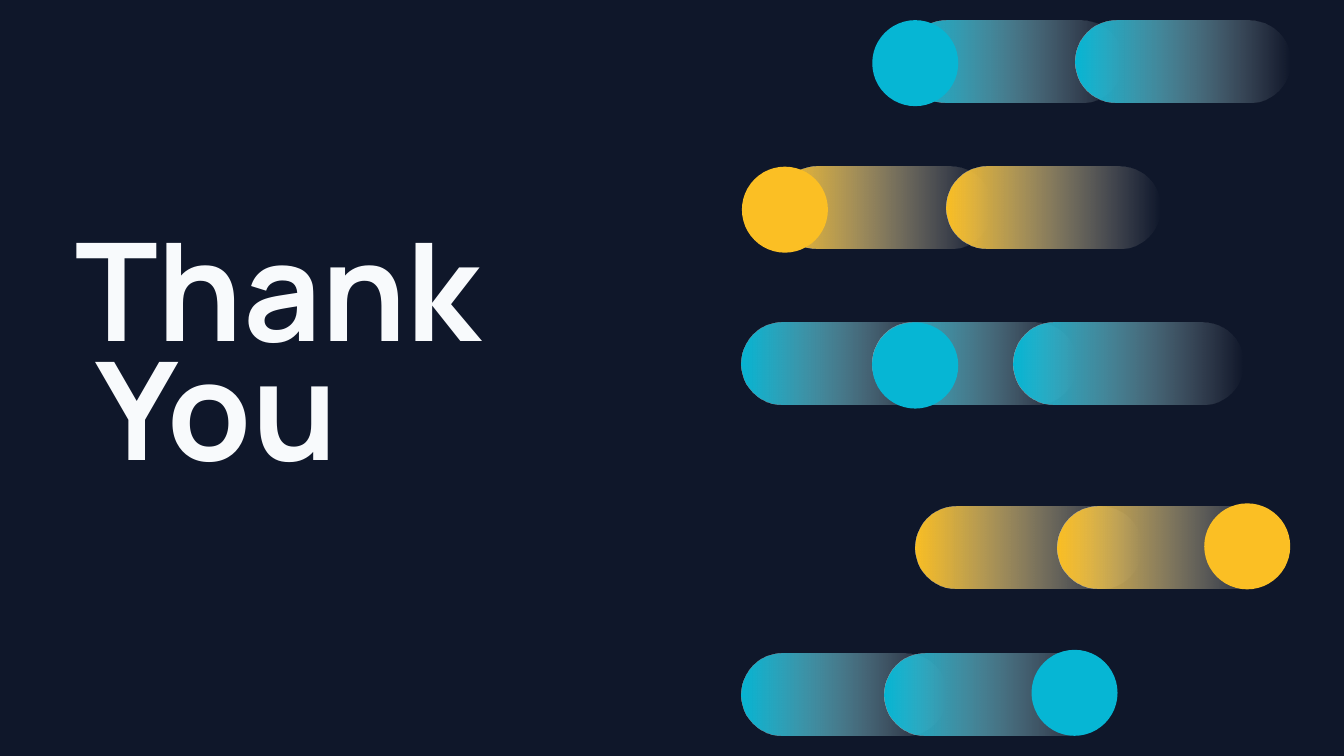
from lxml.etree import SubElement
from pptx import Presentation
from pptx.dml.color import RGBColor
from pptx.enum.shapes import MSO_SHAPE
from pptx.enum.text import MSO_AUTO_SIZE
from pptx.oxml.ns import qn
from pptx.util import Emu, Pt

PX = 9144
NAVY, CYAN, AMBER, WHITE = "0F172A", "06B6D4", "FBBF24", "F8FAFC"
PILL_HEIGHT, DOT_SIZE = 122, 128


def color(hex_value):
    return RGBColor.from_string(hex_value)


def add_plain(preset, *box):
    shape = slide.shapes.add_shape(preset, *(Emu(v * PX) for v in box))
    shape.shadow.inherit = False
    shape.line.fill.background()
    return shape


prs = Presentation()
prs.slide_width, prs.slide_height = Emu(2000 * PX), Emu(1125 * PX)
slide = prs.slides.add_slide(prs.slide_layouts[6])
slide.background.fill.solid()
slide.background.fill.fore_color.rgb = color(NAVY)

trails = [
    (1104, 480, 304, CYAN),
    (1362, 754, 337, AMBER),
    (1104, 973, 304, CYAN),
    (1574, 754, 325, AMBER),
    (1316, 973, 328, CYAN),
    (1298, 480, 304, CYAN),
    (1156, 248, 320, AMBER),
    (1347, 30, 323, CYAN),
    (1508, 480, 343, CYAN),
    (1408, 248, 319, AMBER),
    (1601, 30, 319, CYAN),
]
for left, top, width, hue in trails:
    trail = add_plain(MSO_SHAPE.ROUNDED_RECTANGLE, left, top, width, PILL_HEIGHT)
    trail.adjustments[0] = 0.5
    trail.fill.gradient()
    trail.fill.gradient_angle = 0
    for stop, stop_hue in zip(trail.fill.gradient_stops, (hue, WHITE)):
        stop.color.rgb = color(stop_hue)
    faded_end = trail.element.xpath(".//a:gs/a:srgbClr")[-1]
    SubElement(faded_end, qn("a:alpha"), val="0")

dots = [
    (1298, 480, CYAN),
    (1792, 749, AMBER),
    (1535, 967, CYAN),
    (1104, 248, AMBER),
    (1298, 30, CYAN),
]
for left, top, hue in dots:
    dot = add_plain(MSO_SHAPE.OVAL, left, top, DOT_SIZE, DOT_SIZE)
    dot.fill.solid()
    dot.fill.fore_color.rgb = color(hue)

frame_format = {
    "margin_left": 0, "margin_top": 0, "margin_right": 0, "margin_bottom": 0,
    "word_wrap": True, "auto_size": MSO_AUTO_SIZE.SHAPE_TO_FIT_TEXT,
}
font_format = {"name": "Manrope", "size": Pt(146), "bold": True}
for word, left, top, width in [("Thank", 112, 265, 801), ("You", 142, 442, 804)]:
    box = (Emu(v * PX) for v in (left, top, width, 288))
    frame = slide.shapes.add_textbox(*box).text_frame
    for key, value in frame_format.items():
        setattr(frame, key, value)
    line = frame.paragraphs[0]
    line.line_spacing = Pt(204.4)
    run = line.add_run()
    run.text = word
    for key, value in font_format.items():
        setattr(run.font, key, value)
    run.font.color.rgb = color(WHITE)

prs.save("out.pptx")
